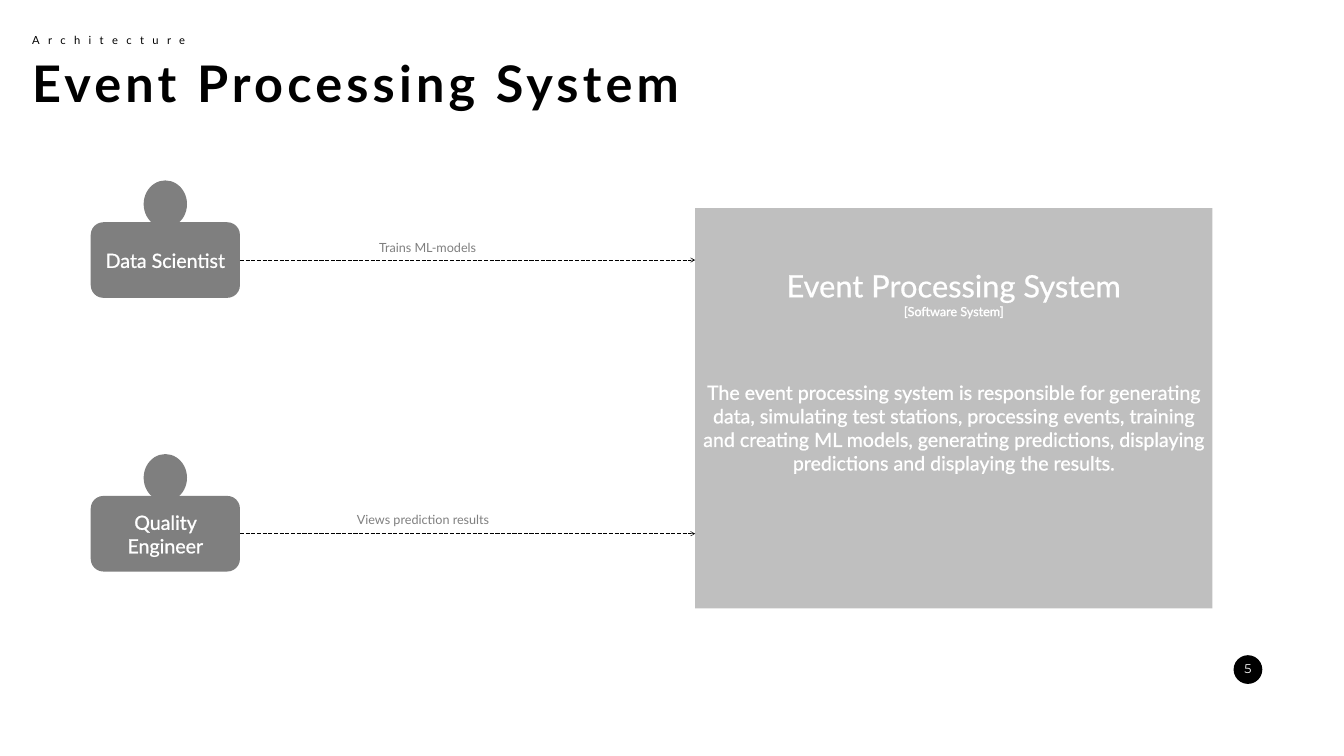
"""Build the Event Processing System architecture slide."""
from lxml import etree
from pptx import Presentation
from pptx.dml.color import RGBColor
from pptx.enum.dml import MSO_LINE
from pptx.enum.shapes import MSO_CONNECTOR, MSO_SHAPE as SHAPE
from pptx.enum.text import MSO_ANCHOR as ANCHOR, MSO_AUTO_SIZE as FIT, PP_ALIGN as ALIGN
from pptx.oxml.ns import qn
from pptx.util import Inches, Pt

WHITE, BLACK, GRAY, SILVER = "FFFFFF", "000000", "7F7F7F", "BFBFBF"
rgb = RGBColor.from_string

deck = Presentation()
deck.slide_width, deck.slide_height = Inches(26.66), Inches(15)
slide = deck.slides.add_slide(deck.slide_layouts[6])


def add_block(kind, left, top, width, height, color):
    block = slide.shapes.add_shape(kind, Inches(left), Inches(top), Inches(width), Inches(height))
    block.shadow.inherit = False
    block.fill.solid()
    block.fill.fore_color.rgb = rgb(color)
    block.line.fill.background()
    block.text_frame.word_wrap = True
    return block


def style(paragraph, text, size, color, align=ALIGN.LEFT, font="Lato", spacing=0, outlined=False):
    run = paragraph.add_run()
    run.text = text
    paragraph.alignment = align
    paragraph.font.size = Pt(size)
    paragraph.font.name = font
    paragraph.font.color.rgb = rgb(color)
    properties = run._r.get_or_add_rPr()
    if spacing:
        properties.set("spc", str(spacing * 100))
    if outlined:
        outline = etree.SubElement(properties, qn("a:ln"), w=str(Pt(0.75)))
        fill = etree.SubElement(outline, qn("a:solidFill"))
        etree.SubElement(fill, qn("a:srgbClr"), val=color)


add_block(SHAPE.OVAL, 24.47, 13, 0.57, 0.57, BLACK)

labels = [
    ("5", 24.4, 13.01, 0.71, 0.5, 18, WHITE, ALIGN.CENTER, "Montserrat", 0, False),
    ("Architecture", 0.54, 0.61, 3.42, 0.37, 16, BLACK, ALIGN.LEFT, "Lato", 12, False),
    ("Event Processing System", 0.54, 0.98, 19.91, 1.31, 72, BLACK, ALIGN.LEFT, "Lato", 6, True),
    ("Trains ML-models", 7.42, 4.71, 6.03, 0.4, 18, GRAY, ALIGN.LEFT, "Lato", 0, True),
    ("Views prediction results", 6.98, 10.11, 6.03, 0.4, 18, GRAY, ALIGN.LEFT, "Lato", 0, True),
]
for text, left, top, width, height, size, color, align, font, spacing, wraps in labels:
    label = slide.shapes.add_textbox(Inches(left), Inches(top), Inches(width), Inches(height))
    frame = label.text_frame
    frame.word_wrap = wraps
    frame.auto_size = FIT.SHAPE_TO_FIT_TEXT
    if text == "5":
        frame.margin_top = frame.margin_bottom = Inches(0.1)
    style(frame.paragraphs[0], text, size, color, align, font, spacing)
    if size == 72:
        frame.paragraphs[0].font.bold = True

system = add_block(SHAPE.RECTANGLE, 13.79, 4.13, 10.26, 7.94, SILVER).text_frame
system.vertical_anchor = ANCHOR.TOP
system.margin_top = Inches(1.16)
description = (
    "The event processing system is responsible for generating data, simulating test stations, "
    "processing events, training and creating ML models, generating predictions, "
    "displaying predictions and displaying the results."
)
system_lines = [("Event Processing System", 44, 0), ("[Software System]", 18, 0), (description, 28, 88)]
for index, (text, size, gap) in enumerate(system_lines):
    paragraph = system.add_paragraph() if index else system.paragraphs[0]
    style(paragraph, text, size, WHITE, ALIGN.CENTER, outlined=True)
    if gap:
        paragraph.space_before = Pt(gap)

for role, top in [("Data Scientist", 4.41), ("Quality Engineer", 9.84)]:
    body = add_block(SHAPE.ROUNDED_RECTANGLE, 1.8, top, 2.96, 1.5, GRAY).text_frame
    body.vertical_anchor = ANCHOR.MIDDLE
    style(body.paragraphs[0], role, 28, WHITE, ALIGN.CENTER, outlined=True)
    add_block(SHAPE.OVAL, 2.85, top - 0.83, 0.86, 0.94, GRAY)

    middle = Inches(top + 0.75)
    arrow = slide.shapes.add_connector(MSO_CONNECTOR.STRAIGHT, Inches(4.76), middle, Inches(13.79), middle)
    arrow.line.color.rgb = rgb(BLACK)
    arrow.line.width = Pt(0.75)
    arrow.line.dash_style = MSO_LINE.LONG_DASH
    etree.SubElement(arrow.line._get_or_add_ln(), qn("a:tailEnd"), type="arrow")
    etree.SubElement(arrow._element.spPr, qn("a:effectLst"))

deck.save("out.pptx")
